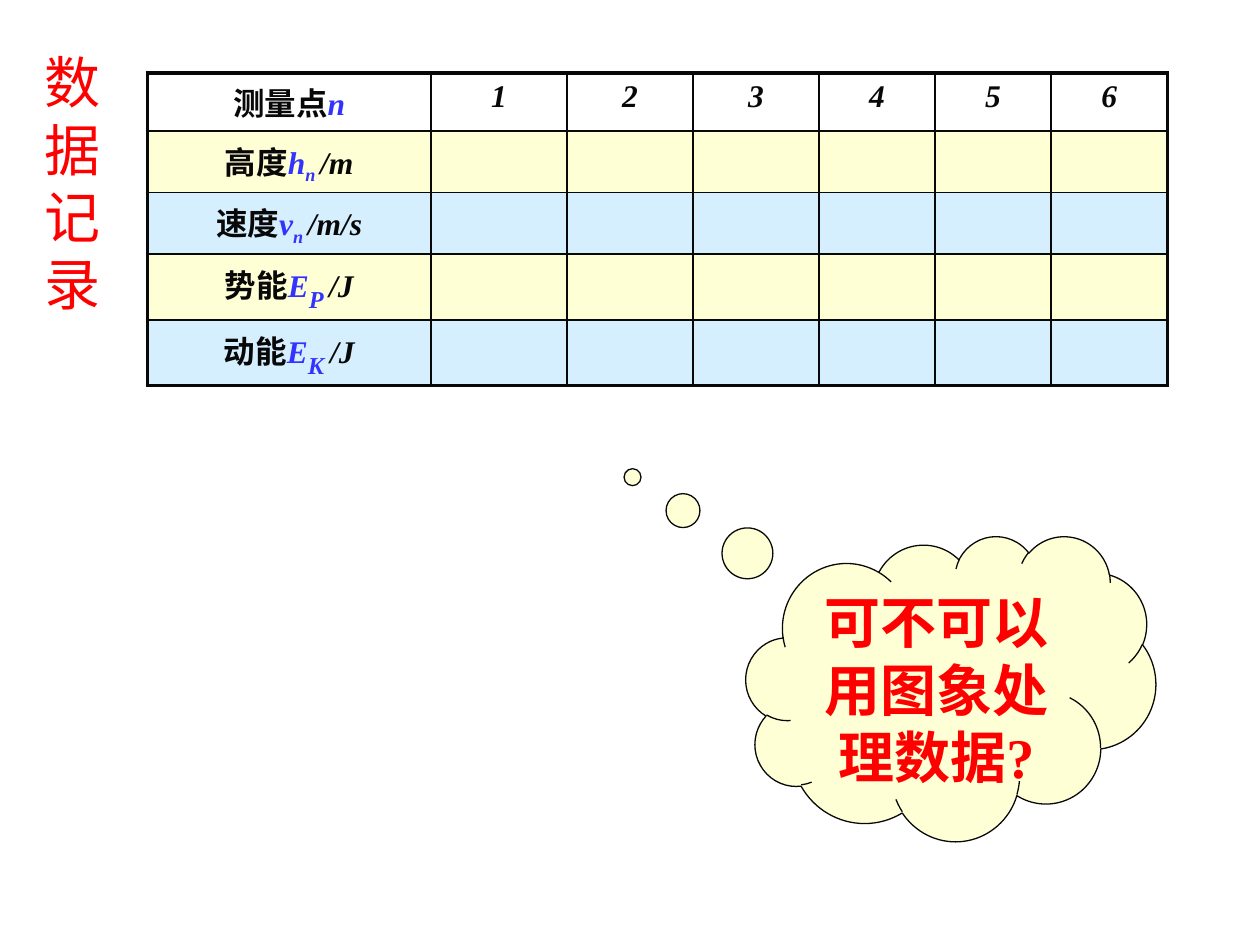
import pptx
import pptx.util
import pptx.dml.color
import pptx.enum.shapes
import pptx.enum.text
import pptx.oxml.ns
from lxml import etree

Cm = pptx.util.Cm
qn = pptx.oxml.ns.qn
BLACK, BLUE, RED = "080808", "3333FF", "FF0000"
WHITE, YELLOW, SKY = "FFFFFF", "FFFFCC", "CCECFF"


def rgb(value):
    return pptx.dml.color.RGBColor.from_string(value)


def add_run(p, text, color, subscript=False, **formats):
    r = p.add_run()
    r.text = text
    for name, value in formats.items():
        setattr(r.font, name, value)
    r.font.color.rgb = rgb(color)
    if subscript:
        r.font._element.set("baseline", "-25000")


prs = pptx.Presentation()
prs.slide_width, prs.slide_height = Cm(25.4), Cm(19.05)
s = prs.slides.add_slide(prs.slide_layouts[6])

body = {"name": "Times New Roman", "size": pptx.util.Pt(18), "bold": True}
italic = {**body, "italic": True}
large = {**italic, "size": pptx.util.Pt(24)}
labels = [
    [("测量点", BLACK, False, body), ("n", BLUE, False, italic)],
    [("高度", BLACK, False, body), ("h", BLUE, False, italic),
     ("n ", BLUE, True, italic), ("/m", BLACK, False, italic)],
    [("速度", BLACK, False, body), ("v", BLUE, False, italic),
     ("n ", BLUE, True, italic), ("/m/s", BLACK, False, italic)],
    [("势能", BLACK, False, body), ("E", BLUE, False, italic),
     ("P ", BLUE, True, large), ("/J", BLACK, False, italic)],
    [("动能", BLACK, False, body), ("E", BLUE, False, italic),
     ("K ", BLUE, True, large), ("/J", BLACK, False, italic)],
]
fills = [WHITE, YELLOW, SKY, YELLOW, SKY]
widths = [5.72, 2.74, 2.54, 2.54, 2.34, 2.34, 2.34]
heights = [1.14, 1.24, 1.24, 1.24, 1.24]
last_row, last_col = len(heights) - 1, len(widths) - 1

table = s.shapes.add_table(len(heights), len(widths), Cm(2.97), Cm(1.47),
                           Cm(sum(widths)), Cm(sum(heights))).table
table.first_row = table.horz_banding = False
for column, width in zip(table.columns, widths):
    column.width = Cm(width)
for row, height in zip(table.rows, heights):
    row.height = Cm(height)

for i, label in enumerate(labels):
    for j in range(len(widths)):
        cell = table.cell(i, j)
        p = cell.text_frame.paragraphs[0]
        p.alignment = pptx.enum.text.PP_ALIGN.CENTER
        if j == 0:
            for text, color, subscript, formats in label:
                add_run(p, text, color, subscript, **formats)
        elif i == 0:
            add_run(p, str(j), BLACK, **italic)
        tcPr = cell._tc.get_or_add_tcPr()
        outer = {"lnL": j == 0, "lnR": j == last_col,
                 "lnT": i == 0, "lnB": i == last_row}
        for tag, thick in outer.items():
            width = pptx.util.Pt(2.25 if thick else 1)
            ln = etree.SubElement(tcPr, qn(f"a:{tag}"), w=str(width))
            fill = etree.SubElement(ln, qn("a:solidFill"))
            etree.SubElement(fill, qn("a:srgbClr"), val=BLACK)
        cell.fill.solid()
        cell.fill.fore_color.rgb = rgb(fills[i])

cloud = s.shapes.add_shape(pptx.enum.shapes.MSO_SHAPE.CLOUD_CALLOUT,
                           Cm(15.04), Cm(10.8), Cm(8.26), Cm(6.15))
cloud.adjustments[0], cloud.adjustments[1] = -0.777, -0.692
cloud.shadow.inherit = False
cloud.fill.solid()
cloud.fill.fore_color.rgb = rgb(YELLOW)
cloud.line.color.rgb = rgb("000000")
cloud.line.color.rgb = rgb(BLACK)
cloud.line.width = pptx.util.Pt(0.75)
tf = cloud.text_frame
tf.word_wrap = True
tf.vertical_anchor = pptx.enum.text.MSO_ANCHOR.TOP
p = tf.paragraphs[0]
p.alignment = pptx.enum.text.PP_ALIGN.CENTER
add_run(p, "可不可以用图象处理数据?", RED, **{**body, "size": pptx.util.Pt(32)})

tf = s.shapes.add_textbox(Cm(0.64), Cm(0.84), Cm(1.6), Cm(6.78)).text_frame
tf.word_wrap = True
add_run(tf.paragraphs[0], "数据记录", RED, name="Arial", size=pptx.util.Pt(32))

for color in list(s.element.iter(qn("a:srgbClr"))):
    if color.get("val") in fills:
        etree.SubElement(color, qn("a:alpha"), val="80000")

prs.save("out.pptx")
